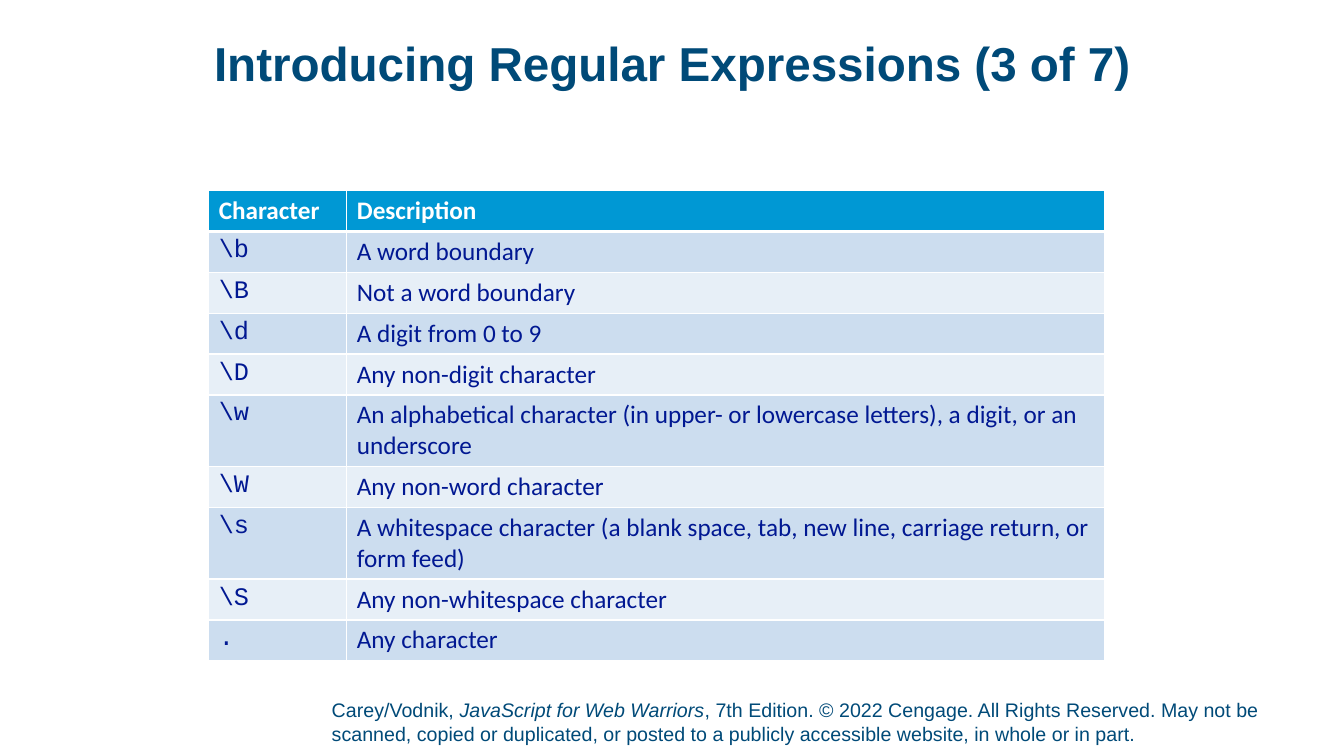
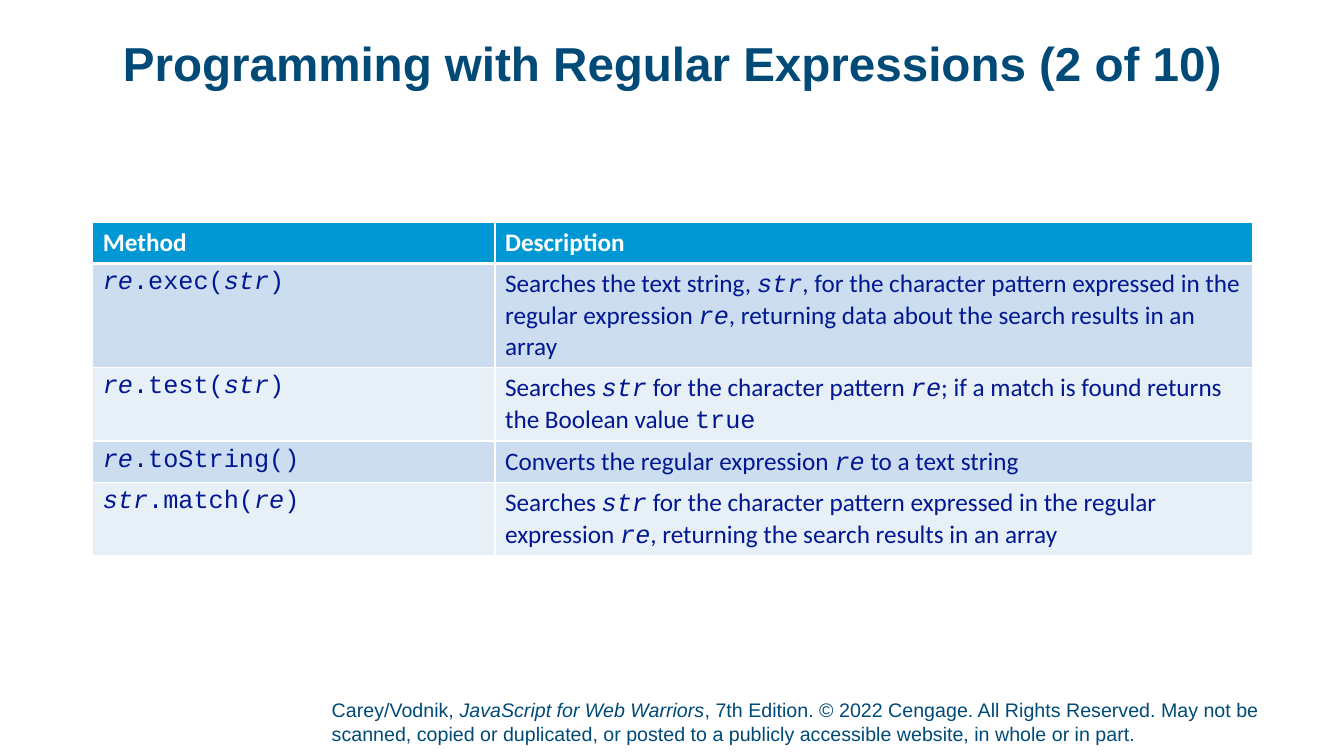
import dataclasses

import pptx
import pptx.dml.color
import pptx.enum.text
import pptx.oxml
import pptx.oxml.ns
import pptx.util

Inches = pptx.util.Inches
Pt = pptx.util.Pt

VARIABLES = ("re", "str")

FOOTER = (
    ("Carey/Vodnik, ", False),
    ("JavaScript for Web Warriors", True),
    (", 7th Edition. © 2022 Cengage. All Rights Reserved. May not be scanned, copied "
     "or duplicated, or posted to a publicly accessible website, in whole or in part.", False),
)

SLIDES = (
    {
        "title": "Introducing Regular Expressions (3 of 7)",
        "origin": (2.07, 1.89),
        "columns": (1.37, 7.52),
        "rows": (
            ("Character", "Description"),
            (r"\b", "A word boundary"),
            (r"\B", "Not a word boundary"),
            (r"\d", "A digit from 0 to 9"),
            (r"\D", "Any non-digit character"),
            (r"\w", "An alphabetical character (in upper- or lowercase letters), "
                    "a digit, or an underscore"),
            (r"\W", "Any non-word character"),
            (r"\s", "A whitespace character (a blank space, tab, new line, "
                    "carriage return, or form feed)"),
            (r"\S", "Any non-whitespace character"),
            (".", "Any character"),
        ),
    },
    {
        "title": "Programming with Regular Expressions (2 of 10)",
        "origin": (0.92, 2.21),
        "columns": (3.99, 7.51),
        "rows": (
            ("Method", "Description"),
            ("`re`.exec(`str`)",
             "Searches the text string, `str`, for the character pattern expressed in the "
             "regular expression `re`, returning data about the search results in an array"),
            ("`re`.test(`str`)",
             "Searches `str` for the character pattern `re`; if a match is found returns "
             "the Boolean value `true`"),
            ("`re`.toString()", "Converts the regular expression `re` to a text string"),
            ("`str`.match(`re`)",
             "Searches `str` for the character pattern expressed in the regular "
             "expression `re`, returning the search results in an array"),
        ),
    },
)


@dataclasses.dataclass(frozen=True)
class Theme:
    navy: str = "004A78"
    ink: str = "011892"
    white: str = "FFFFFF"
    header: str = "0098D4"
    bands: tuple = ("CCDDEF", "E7EFF7")
    heading_font: str = "Arial"
    body_font: str = "Calibri"
    code_font: str = "Courier New"
    title_size: int = 34
    table_size: int = 18
    footer_size: int = 14
    row_height: float = 0.4
    rule: int = 1
    header_rule: int = 3
    title_box: tuple = (0.92, 0.4, 11.5, 0.74)
    footer_box: tuple = (3.29, 6.92, 9.79, 0.52)


THEME = Theme()


def rgb(value):
    return pptx.dml.color.RGBColor.from_string(value)


def set_font(font, name, size, color, bold=False):
    font.name = name
    font.size = Pt(size)
    font.color.rgb = rgb(color)
    font.bold = bold


def set_frame(tf, anchor, bottom=0):
    tf.word_wrap = True
    tf.auto_size = pptx.enum.text.MSO_AUTO_SIZE.NONE
    tf.vertical_anchor = anchor
    tf.margin_left = tf.margin_top = tf.margin_right = 0
    tf.margin_bottom = Inches(bottom)


def add_title(s, text):
    sp = s.shapes.title
    sp.left, sp.top, sp.width, sp.height = map(Inches, THEME.title_box)
    tf = sp.text_frame
    set_frame(tf, pptx.enum.text.MSO_ANCHOR.TOP)
    tf.text = text
    p = tf.paragraphs[0]
    p.alignment = pptx.enum.text.PP_ALIGN.CENTER
    p.line_spacing = 0.9
    set_font(p.font, THEME.heading_font, THEME.title_size, THEME.navy, bold=True)


def add_footer(s):
    tf = s.shapes.add_textbox(*map(Inches, THEME.footer_box)).text_frame
    set_frame(tf, pptx.enum.text.MSO_ANCHOR.BOTTOM, bottom=0.05)
    p = tf.paragraphs[0]
    set_font(p.font, THEME.heading_font, THEME.footer_size, THEME.navy)
    for text, italic in FOOTER:
        r = p.add_run()
        r.text = text
        r.font.italic = italic


def set_borders(cell, row):
    widths = {
        "L": THEME.rule,
        "R": THEME.rule,
        "T": THEME.header_rule if row == 1 else THEME.rule,
        "B": THEME.header_rule if row == 0 else THEME.rule,
    }
    properties = cell._tc.get_or_add_tcPr()
    for side, width in widths.items():
        properties.append(pptx.oxml.parse_xml(
            f'<a:ln{side} {pptx.oxml.ns.nsdecls("a")} w="{Pt(width)}">'
            f'<a:solidFill><a:srgbClr val="{THEME.white}"/></a:solidFill></a:ln{side}>'))


def fill_cell(cell, text, row, column):
    is_header = row == 0
    set_borders(cell, row)
    cell.fill.solid()
    cell.fill.fore_color.rgb = rgb(THEME.header if is_header else THEME.bands[(row - 1) % 2])
    p = cell.text_frame.paragraphs[0]
    base_font = THEME.code_font if column == 0 and not is_header else THEME.body_font
    color = THEME.white if is_header else THEME.ink
    set_font(p.font, base_font, THEME.table_size, color, bold=is_header)
    for i, part in enumerate(text.split("`")):
        if part:
            r = p.add_run()
            r.text = part
            set_font(r.font, THEME.code_font if i % 2 else base_font,
                     THEME.table_size, color, bold=is_header)
            r.font.italic = part in VARIABLES


def add_reference_table(s, origin, columns, rows):
    left, top = map(Inches, origin)
    table = s.shapes.add_table(
        len(rows), len(columns), left, top,
        Inches(sum(columns)), Inches(THEME.row_height * len(rows))).table
    for column, width in zip(table.columns, columns):
        column.width = Inches(width)
    for i, texts in enumerate(rows):
        for j, text in enumerate(texts):
            fill_cell(table.cell(i, j), text, i, j)


def main():
    prs = pptx.Presentation()
    prs.slide_width, prs.slide_height = Inches(13.33), Inches(7.5)
    title_only = prs.slide_layouts[5]
    for content in SLIDES:
        s = prs.slides.add_slide(title_only)
        add_footer(s)
        add_title(s, content["title"])
        add_reference_table(s, content["origin"], content["columns"], content["rows"])
    prs.save("out.pptx")


if __name__ == "__main__":
    main()
